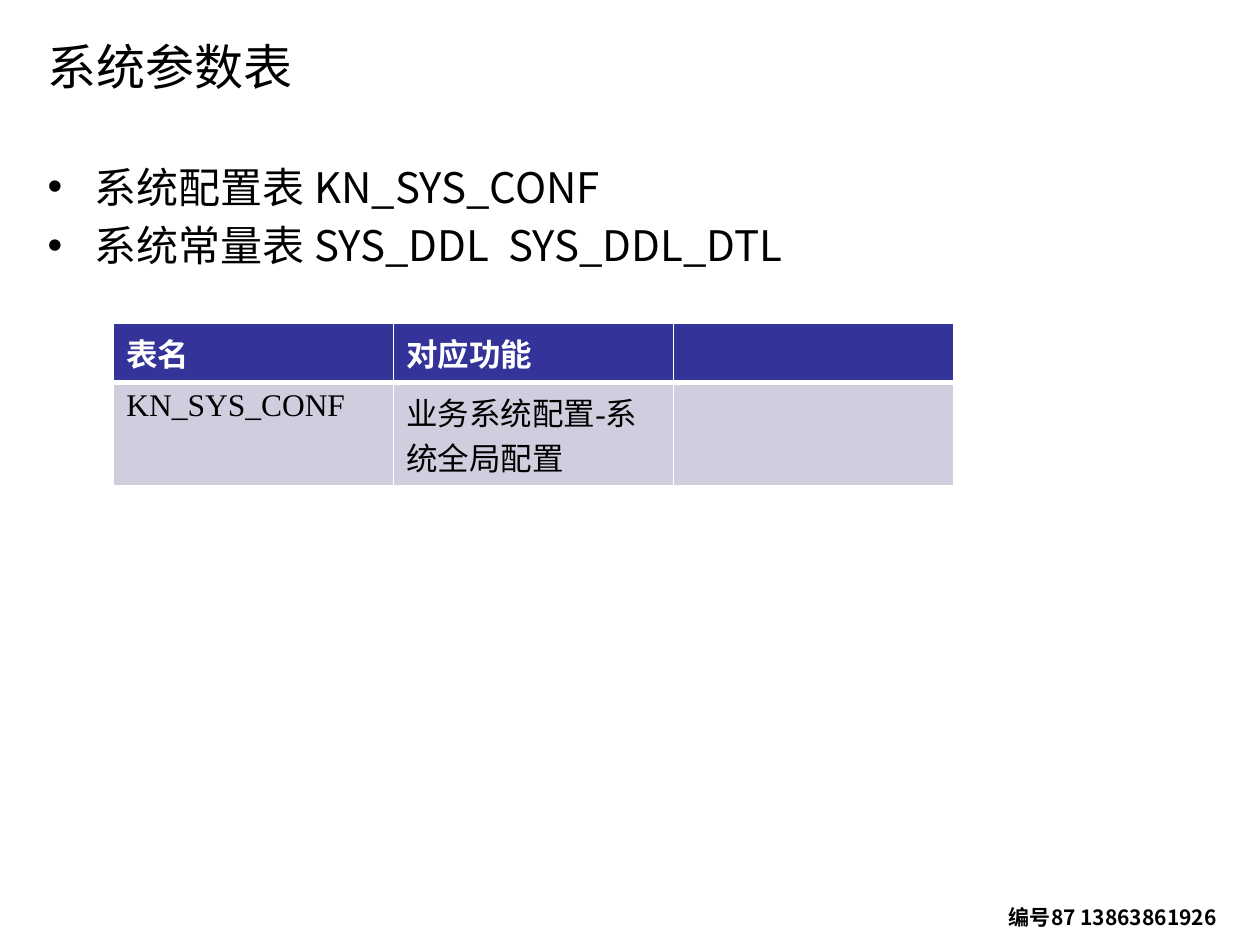
from dataclasses import dataclass

from lxml.etree import SubElement
from pptx import Presentation
from pptx.dml.color import RGBColor as Color
from pptx.enum.text import MSO_ANCHOR as Anchor, MSO_AUTO_SIZE as AutoSize, PP_ALIGN as Align
from pptx.oxml.ns import qn
from pptx.util import Pt


@dataclass(frozen=True)
class Theme:
    sans: str = "Noto Sans CJK SC"
    serif: str = "Times New Roman"
    black: str = "000000"
    white: str = "FFFFFF"
    header_fill: str = "333399"
    body_fill: str = "CECEDE"
    title_size: float = 28
    bullet_size: float = 24
    table_size: float = 18
    footer_size: float = 12


@dataclass(frozen=True)
class Box:
    left: float
    top: float
    width: float
    height: float

    def lengths(self) -> tuple:
        return Pt(self.left), Pt(self.top), Pt(self.width), Pt(self.height)


@dataclass(frozen=True)
class TableRow:
    texts: tuple
    height: float
    fill: str
    color: str
    bold: bool
    top_border: float
    bottom_border: float


THEME = Theme()
TITLE_BOX = Box(20.16, 9.36, 532.8, 56.88)
BULLET_BOX = Box(20.16, 88.56, 686.16, 419.76)
FOOTER_BOX = Box(569.52, 513.36, 138.96, 21.6)
BULLETS = ("系统配置表 KN_SYS_CONF", "系统常量表 SYS_DDL  SYS_DDL_DTL")
TABLE_ROWS = (
    TableRow(("表名", "对应功能", ""), 33.5, THEME.header_fill, THEME.white, True, 1, 3),
    TableRow(("KN_SYS_CONF", "业务系统配置-系统全局配置", ""), 59,
             THEME.body_fill, THEME.black, False, 3, 1),
)
TABLE_BOX = Box(65, 185, 480, sum(row.height for row in TABLE_ROWS))


def format_runs(paragraph, size: float, color: str = THEME.black,
                bold: bool = False, latin: str = THEME.sans) -> None:
    for run in paragraph.runs:
        run.font.size = Pt(size)
        run.font.bold = bold
        run.font.color.rgb = Color.from_string(color)
        run.font.name = latin
        SubElement(run.font._element, qn("a:ea"), typeface=THEME.sans)


def add_title(slide, text: str) -> None:
    title = slide.shapes.title
    title.left, title.top, title.width, title.height = TITLE_BOX.lengths()
    frame = title.text_frame
    frame.text = text
    frame.auto_size = AutoSize.NONE
    frame.vertical_anchor = Anchor.MIDDLE
    frame.paragraphs[0].alignment = Align.LEFT
    format_runs(frame.paragraphs[0], THEME.title_size)


def add_bullets(slide, texts: tuple) -> None:
    frame = slide.shapes.add_textbox(*BULLET_BOX.lengths()).text_frame
    frame.word_wrap = True
    frame.text = "\n".join(texts)
    for paragraph in frame.paragraphs:
        paragraph.space_before = Pt(0.2 * THEME.bullet_size)
        properties = paragraph._p.get_or_add_pPr()
        properties.set("marL", str(Pt(27)))
        properties.set("indent", str(Pt(-27)))
        SubElement(properties, qn("a:buFont"), typeface="Arial")
        SubElement(properties, qn("a:buChar"), char="•")
        format_runs(paragraph, THEME.bullet_size)


def add_border(cell, side: str, width: float) -> None:
    line = SubElement(cell._tc.get_or_add_tcPr(), qn(f"a:ln{side}"), w=str(Pt(width)))
    fill = SubElement(line, qn("a:solidFill"))
    SubElement(fill, qn("a:srgbClr"), val=THEME.white)


def format_cell(cell, text: str, row: TableRow) -> None:
    cell.text_frame.text = text
    cell.margin_left = cell.margin_right = Pt(7.2)
    cell.margin_top = cell.margin_bottom = Pt(3.6)
    borders = {"L": 1, "R": 1, "T": row.top_border, "B": row.bottom_border}
    for side, width in borders.items():
        add_border(cell, side, width)
    cell.fill.solid()
    cell.fill.fore_color.rgb = Color.from_string(row.fill)
    format_runs(cell.text_frame.paragraphs[0], THEME.table_size,
                row.color, row.bold, THEME.serif)


def add_parameter_table(slide, rows: tuple) -> None:
    column_count = len(rows[0].texts)
    table = slide.shapes.add_table(len(rows), column_count, *TABLE_BOX.lengths()).table
    for column in table.columns:
        column.width = Pt(TABLE_BOX.width / column_count)
    for row_index, row in enumerate(rows):
        table.rows[row_index].height = Pt(row.height)
        for column_index, text in enumerate(row.texts):
            format_cell(table.cell(row_index, column_index), text, row)


def add_footer(slide, text: str) -> None:
    frame = slide.shapes.add_textbox(*FOOTER_BOX.lengths()).text_frame
    frame.word_wrap = False
    frame.auto_size = AutoSize.SHAPE_TO_FIT_TEXT
    frame.text = text
    format_runs(frame.paragraphs[0], THEME.footer_size, bold=True)


def main() -> None:
    presentation = Presentation()
    presentation.slide_width, presentation.slide_height = Pt(720), Pt(540)
    slide = presentation.slides.add_slide(presentation.slide_layouts[5])
    slide.background.fill.solid()
    slide.background.fill.fore_color.rgb = Color.from_string(THEME.white)
    add_footer(slide, "编号87 13863861926")
    add_title(slide, "系统参数表")
    add_bullets(slide, BULLETS)
    add_parameter_table(slide, TABLE_ROWS)
    presentation.save("out.pptx")


if __name__ == "__main__":
    main()
